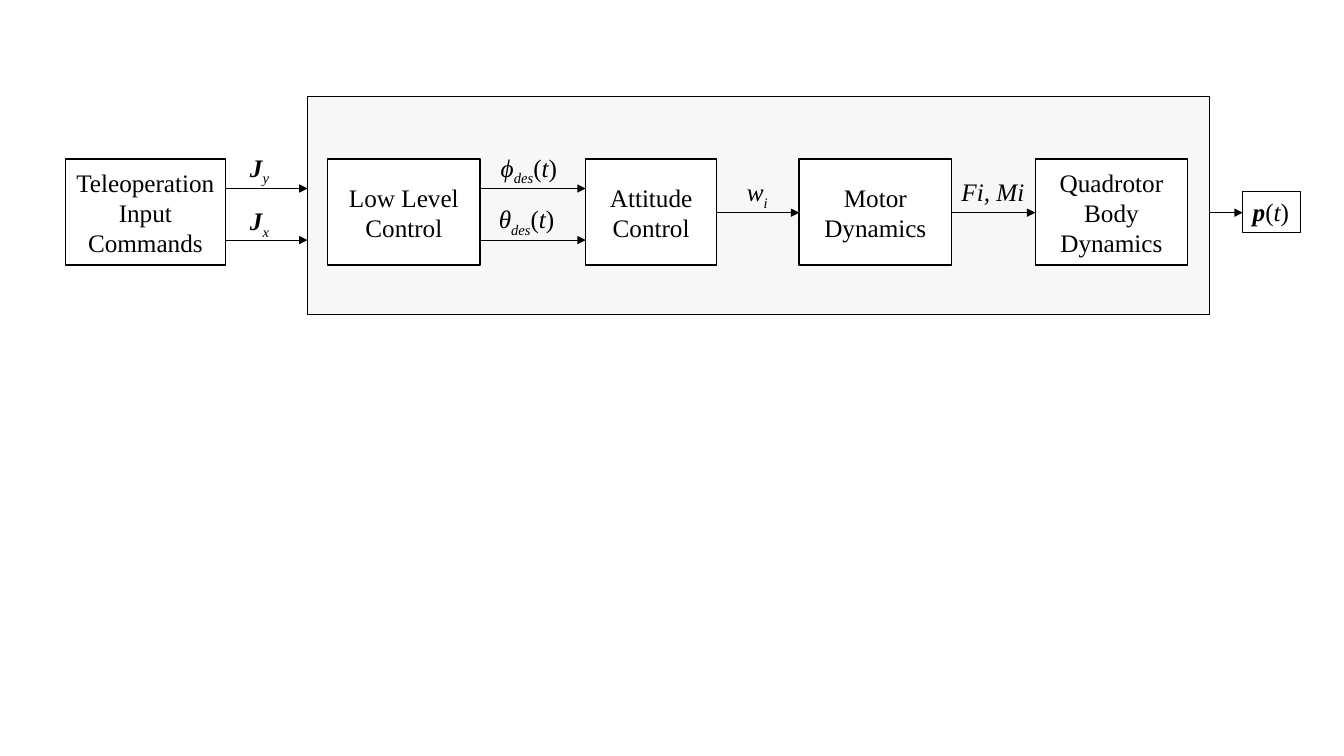
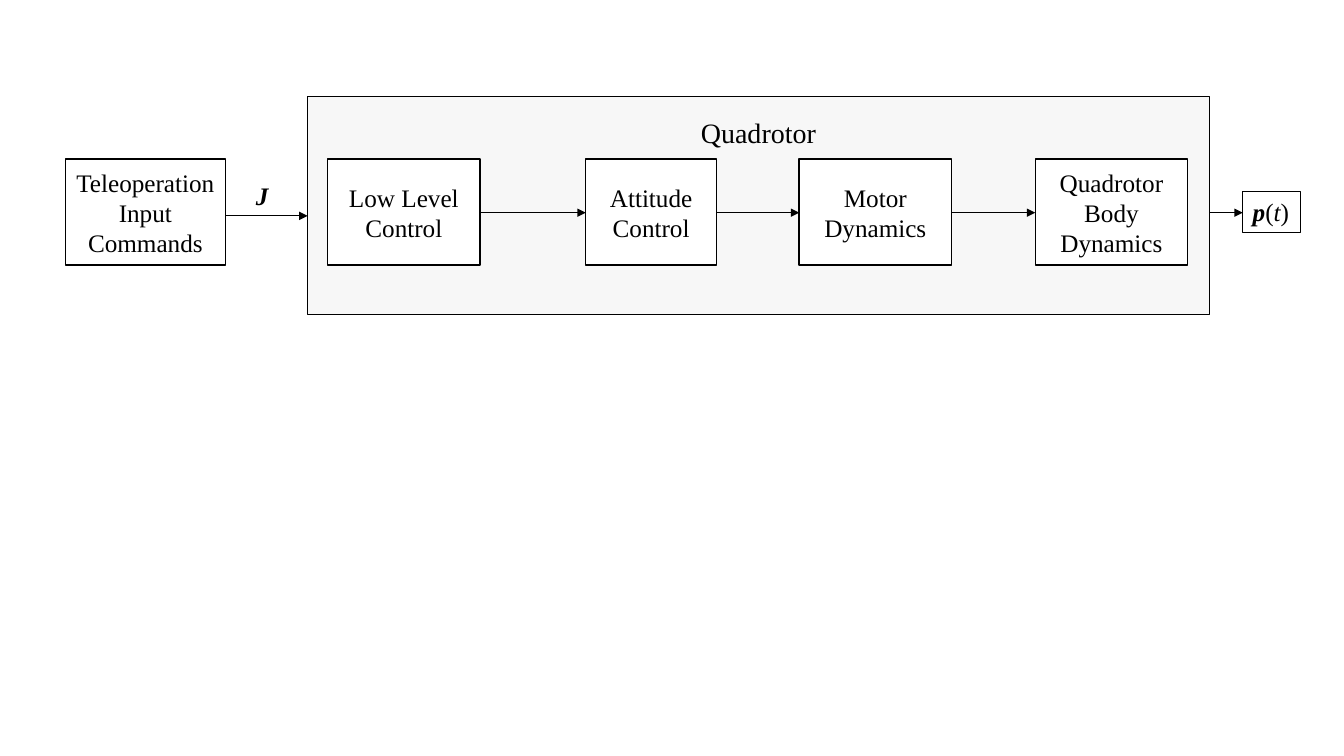
"""Build two block diagrams of a quadrotor control chain."""
from dataclasses import dataclass
from itertools import pairwise
from typing import Any

from lxml import etree
from pptx import Presentation
from pptx import util as u
from pptx.dml import color
from pptx.enum import shapes, text
from pptx.oxml import ns

FONT = "Times New Roman"
INK, PAPER, SHADE = "000000", "FFFFFF", "EDEDED"
TOP, TALL, MID = 4.01, 2.67, 5.36
UPPER, LOWER = 4.75, 6.05

Runs = list[tuple[str, str]]


@dataclass(frozen=True)
class Box:
    """A box in centimetres; each run pairs its text with b, i, s flags."""
    left: float
    top: float
    width: float
    height: float
    runs: Runs

    @property
    def right(self) -> float:
        """Return the right edge."""
        return self.left + self.width


def block(left: float, width: float, words: str) -> Box:
    """Return a block in the common row."""
    return Box(left, TOP, width, TALL, [(words, "")])


def angle(sign: str) -> Runs:
    """Return the runs of a desired angle over time."""
    return [(sign, "i"), ("des", "is"), ("(", ""), ("t", "i"), (")", "")]


FRAME = Box(7.75, 2.44, 22.73, 5.49, [("Quadrotor", "")])
INPUT = block(1.65, 4.03, "Teleoperation Input Commands")
CHAIN = [
    block(8.26, 3.84, "Low Level Control"),
    block(14.76, 3.3, "Attitude Control"),
    block(20.14, 3.84, "Motor Dynamics"),
    block(26.09, 3.84, "Quadrotor Body Dynamics"),
]
OUTPUT = Box(31.32, 4.83, 1.45, 1.02,
             [("p", "bi"), ("(", ""), ("t", "i"), (")", "")])
SIGNALS = [
    Box(18.57, 4.32, 1.07, 1.02, [("w", "i"), ("i", "is")]),
    Box(23.98, 4.32, 2.11, 1.8, [("Fi, Mi", "i")]),
    Box(12.37, 3.71, 2.03, 1.02, angle("\u03d5")),
    Box(12.32, 5.0, 2.01, 1.02, angle("\u03b8")),
    Box(6.05, 5.05, 1.02, 1.02, [("J", "bi"), ("x", "is")]),
    Box(6.05, 3.71, 1.02, 1.02, [("J", "bi"), ("y", "is")]),
]
COMMAND = [Box(6.2, 4.42, 0.84, 1.02, [("J", "bi")])]


def paint(code: str) -> color.RGBColor:
    """Turn a hex string into a colour."""
    return color.RGBColor.from_string(code)


def write(shape: Any, runs: Runs, *, size: float = 18, wrap: bool = True,
          align: Any = text.PP_ALIGN.CENTER,
          anchor: Any = text.MSO_ANCHOR.MIDDLE, inset: float = 0.13) -> None:
    """Write formatted runs into a shape."""
    frame = shape.text_frame
    frame.word_wrap = wrap
    frame.vertical_anchor = anchor
    frame.margin_top = u.Cm(inset)
    if not wrap:
        frame.auto_size = text.MSO_AUTO_SIZE.SHAPE_TO_FIT_TEXT
    line = frame.paragraphs[0]
    line.alignment = align
    for words, flags in runs:
        run = line.add_run()
        run.text = words
        font = run.font
        font.name, font.size = FONT, u.Pt(size)
        font.bold, font.italic = "b" in flags, "i" in flags
        font.color.rgb = paint(INK)
        if "s" in flags:
            run._r.get_or_add_rPr().set("baseline", "-25000")


def label(pen: Any, box: Box) -> Any:
    """Add a tight, left-aligned text box."""
    shape = pen.add_textbox(*map(u.Cm, (box.left, box.top, box.width, box.height)))
    write(shape, box.runs, wrap=False, align=text.PP_ALIGN.LEFT,
          anchor=text.MSO_ANCHOR.TOP)
    return shape


def panel(pen: Any, box: Box, fill: str = PAPER) -> Any:
    """Add an outlined rectangle."""
    shape = pen.add_shape(shapes.MSO_SHAPE.RECTANGLE,
                          *map(u.Cm, (box.left, box.top, box.width, box.height)))
    shape.shadow.inherit = False
    shape.fill.solid()
    shape.fill.fore_color.rgb = paint(fill)
    shape.line.color.rgb = paint(INK)
    shape.line.width = u.Pt(1)
    return shape


def arrow(pen: Any, start: float, end: float, level: float = MID) -> None:
    """Add a level arrow from start to end."""
    line = pen.add_connector(shapes.MSO_CONNECTOR.STRAIGHT,
                             *map(u.Cm, (start, level, end, level)))
    line.line.color.rgb = paint(INK)
    line.line.width = u.Pt(0.75)
    etree.SubElement(line.line._get_or_add_ln(), ns.qn("a:tailEnd"), type="triangle")
    etree.SubElement(line._element.spPr, ns.qn("a:effectLst"))


def draw(pen: Any, labels: list[Box], feeds: list[float],
         links: list[float], titled: bool) -> None:
    """Draw the diagram with its feeds, first links and labels."""
    back = panel(pen, FRAME, SHADE)
    tint = next(back._element.spPr.iter(ns.qn("a:srgbClr")))
    etree.SubElement(tint, ns.qn("a:alpha"), val="43000")
    if titled:
        write(back, FRAME.runs, size=20, anchor=text.MSO_ANCHOR.TOP, inset=0.46)
    for box in [*CHAIN, INPUT]:
        write(panel(pen, box), box.runs)
    for spot, (one, two) in enumerate(pairwise(CHAIN)):
        for level in links if spot == 0 else [MID]:
            arrow(pen, one.right, two.left, level)
    for level in feeds:
        arrow(pen, INPUT.right, FRAME.left, level)
    for box in labels:
        label(pen, box)
    edge = label(pen, OUTPUT).line
    edge.color.rgb = paint(INK)
    edge.width = u.Pt(0.75)
    arrow(pen, FRAME.right, OUTPUT.left)


def main() -> None:
    """Build and save both slides."""
    deck = Presentation()
    deck.slide_width, deck.slide_height = u.Cm(33.87), u.Cm(19.05)
    blank = deck.slide_layouts[6]
    pair = [UPPER, LOWER]
    draw(deck.slides.add_slide(blank).shapes, SIGNALS, pair, pair, False)
    group = deck.slides.add_slide(blank).shapes.add_group_shape()
    draw(group.shapes, COMMAND, [5.44], [MID], True)
    deck.save("out.pptx")


main()
